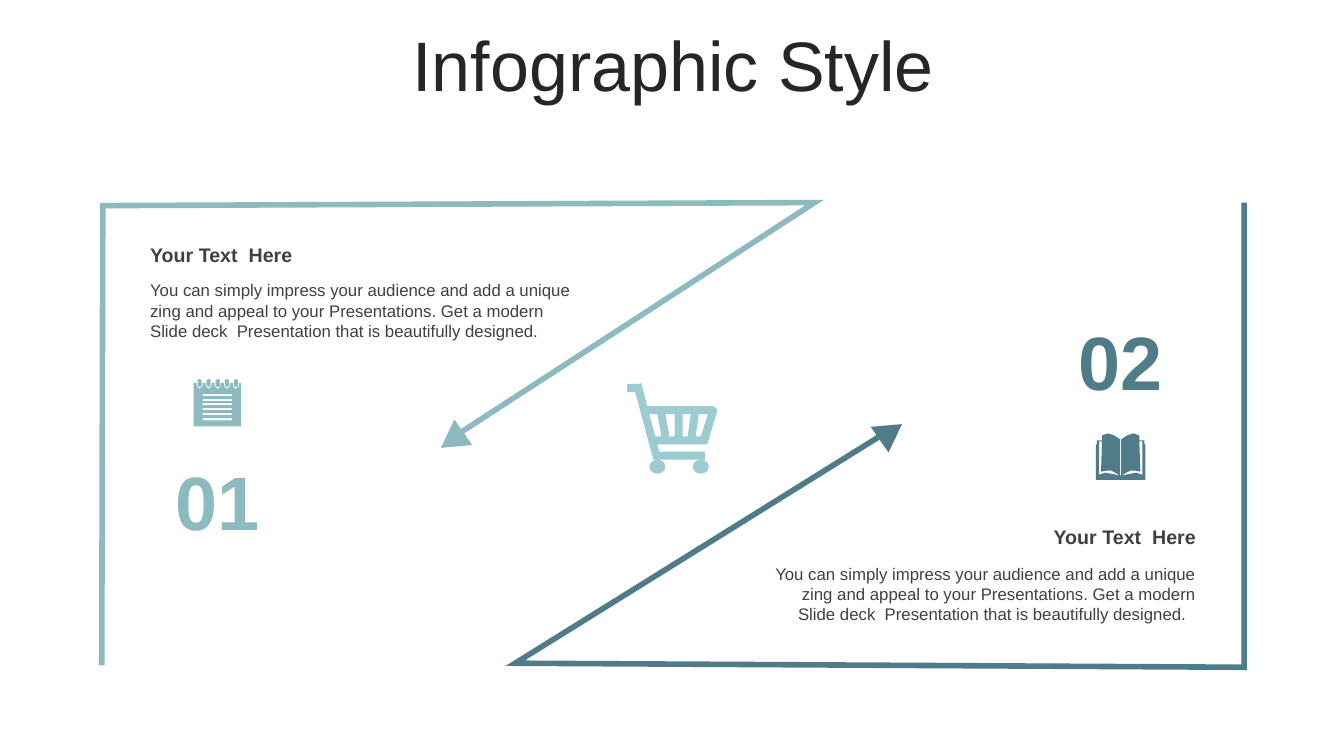
from math import cos, pi, sin
from lxml import etree
from pptx import Presentation
from pptx.dml.color import RGBColor
from pptx.enum.shapes import MSO_SHAPE as Shape
from pptx.enum.text import MSO_ANCHOR as Anchor, PP_ALIGN as Align
from pptx.oxml.ns import qn
from pptx.util import Inches, Pt

COLORS = {"mint": "8CBABE", "teal": "507C89", "aqua": "9CCCD2",
          "ink": "262626", "gray": "404040"}

deck = Presentation()
deck.slide_width, deck.slide_height = Inches(13.33), Inches(7.5)
slide = deck.slides.add_slide(deck.slide_layouts[5])
shapes = slide.shapes


def paint(form, color):
    """Give a shape a plain fill without line or shadow."""
    form.shadow.inherit = False
    form.fill.solid()
    form.fill.fore_color.rgb = RGBColor.from_string(COLORS[color])
    form.line.fill.background()


def outline(loops, close=True):
    """Build one shape from loops of points; inner loops are holes."""
    pen = None
    for loop in loops:
        points = [(Inches(x), Inches(y)) for x, y in loop]
        if pen is None:
            pen = shapes.build_freeform(*points[0])
        else:
            pen.move_to(*points[0])
        pen.add_line_segments(points[1:], close=close)
    return pen.convert_to_shape()


# Title
title = shapes.title
title.left, title.top = Inches(0.35), Inches(0.31)
title.width, title.height = Inches(12.66), Inches(0.79)
frame = title.text_frame
frame.text = "Infographic Style"
frame.vertical_anchor = Anchor.MIDDLE
para = frame.paragraphs[0]
para.alignment, para.line_spacing = Align.CENTER, 0.8
para.font.size, para.font.name = Pt(50), "Arial"
para.font.color.rgb = RGBColor.from_string(COLORS["ink"])

# Angled frames with arrowheads
frames = [
    ("mint", [(1.01, 6.6), (1.02, 2.04), (8.08, 2.01), (4.57, 4.29)],
     (4.33, 4.23), 235.2),
    ("teal", [(12.34, 2.01), (12.34, 6.62), (5.11, 6.58), (8.74, 4.32)],
     (8.68, 4.15), 55.2),
]
for color, route, tip, turn in frames:
    bent = outline([route], close=False)
    bent.shadow.inherit = False
    bent.fill.background()
    bent.line.color.rgb = RGBColor.from_string(COLORS[color])
    bent.line.width = Pt(4)
    etree.SubElement(bent.line._get_or_add_ln(), qn("a:miter"), lim="800000")
    head = shapes.add_shape(Shape.ISOSCELES_TRIANGLE, *map(Inches, (*tip, 0.31, 0.27)))
    head.rotation = turn
    paint(head, color)

# Numbers, headings and body text
HEAD = "Your Text  Here"
BODY = ("You can simply impress your audience and add a unique zing and appeal "
        "to your Presentations. Get a modern Slide deck  Presentation that is "
        "beautifully designed.")
texts = [
    ("01", (1.55, 4.46, 1.22, 1.01), 54, "mint", Align.CENTER),
    ("02", (10.5, 3.07, 1.22, 1.01), 54, "teal", Align.CENTER),
    (BODY, (1.39, 2.73, 4.49, 0.71), 12, "gray", Align.LEFT),
    (HEAD, (1.39, 2.36, 4.49, 0.34), 14, "gray", Align.LEFT),
    (BODY + "  ", (7.51, 5.54, 4.45, 0.71), 12, "gray", Align.RIGHT),
    (HEAD, (7.51, 5.16, 4.45, 0.34), 14, "gray", Align.RIGHT),
]
for text, box, size, color, align in texts:
    frame = shapes.add_textbox(*map(Inches, box)).text_frame
    frame.word_wrap = True
    frame.text = text
    if size == 54:
        frame.vertical_anchor = Anchor.MIDDLE
    para = frame.paragraphs[0]
    para.alignment = align
    para.font.name, para.font.size = "Arial", Pt(size)
    para.font.bold = size > 12
    para.font.color.rgb = RGBColor.from_string(COLORS[color])

# Shopping cart
basket = [(6.36, 3.8), (6.34, 3.81), (6.22, 3.81), (6.22, 3.89), (6.3, 3.89),
          (6.48, 4.56), (6.99, 4.56), (6.99, 4.48), (6.54, 4.48), (6.52, 4.41),
          (6.97, 4.41), (7, 4.41), (7.02, 4.39), (7.11, 4.09), (7.11, 4.06),
          (7.09, 4.04), (7.07, 4.03), (6.42, 4.03)]
slots = [
    [(6.52, 4.11), (6.56, 4.33), (6.5, 4.33), (6.44, 4.11)],
    [(6.69, 4.11), (6.69, 4.33), (6.64, 4.33), (6.6, 4.11)],
    [(6.85, 4.11), (6.82, 4.33), (6.77, 4.33), (6.77, 4.11)],
    [(7.02, 4.11), (6.95, 4.33), (6.9, 4.33), (6.93, 4.11)],
]
wheels = [[(x + 0.08 * cos(k * pi / 6), 4.63 + 0.07 * sin(k * pi / 6))
           for k in range(12)] for x in (6.52, 6.95)]
paint(outline([basket, *slots, *wheels]), "aqua")

# Notepad
sheet, rings = [(1.92, 3.8)], []
for i in range(5):
    x = 1.98 + 0.09 * i
    sheet += [(x - 0.03, 3.8), (x - 0.03, 3.83), (x, 3.86),
              (x + 0.03, 3.83), (x + 0.03, 3.8)]
    rings.append([(x - 0.02, 3.77), (x, 3.76), (x + 0.02, 3.77),
                  (x + 0.02, 3.83), (x, 3.84), (x - 0.02, 3.83)])
sheet += [(2.39, 3.8), (2.39, 4.23), (1.92, 4.23)]
rows = [[(2.01, y), (2.3, y), (2.3, y + 0.02), (2.01, y + 0.02)]
        for y in (3.91, 3.96, 4, 4.05, 4.1, 4.15)]
paint(outline([sheet, *rows, *rings]), "mint")

# Open book: the right half mirrors the left
MID = 11.115
cover = [(11.11, 4.36), (11.05, 4.32), (10.99, 4.3), (10.93, 4.32),
         (10.93, 4.37), (10.88, 4.37), (10.88, 4.41), (10.87, 4.41), (10.87, 4.76)]
edge = [(10.9, 4.38), (10.9, 4.71), (10.96, 4.69), (11.02, 4.7), (11.11, 4.72),
        (11.06, 4.69), (11.02, 4.67), (10.97, 4.67), (10.92, 4.68), (10.93, 4.38)]
spine = [(11.11, 4.36), (11.12, 4.36), (11.12, 4.72), (11.11, 4.72)]
far_cover, far_edge = ([(2 * MID - x, y) for x, y in half] for half in (cover, edge))
paint(outline([cover + far_cover[::-1], edge, far_edge, spine]), "teal")

deck.save("out.pptx")
